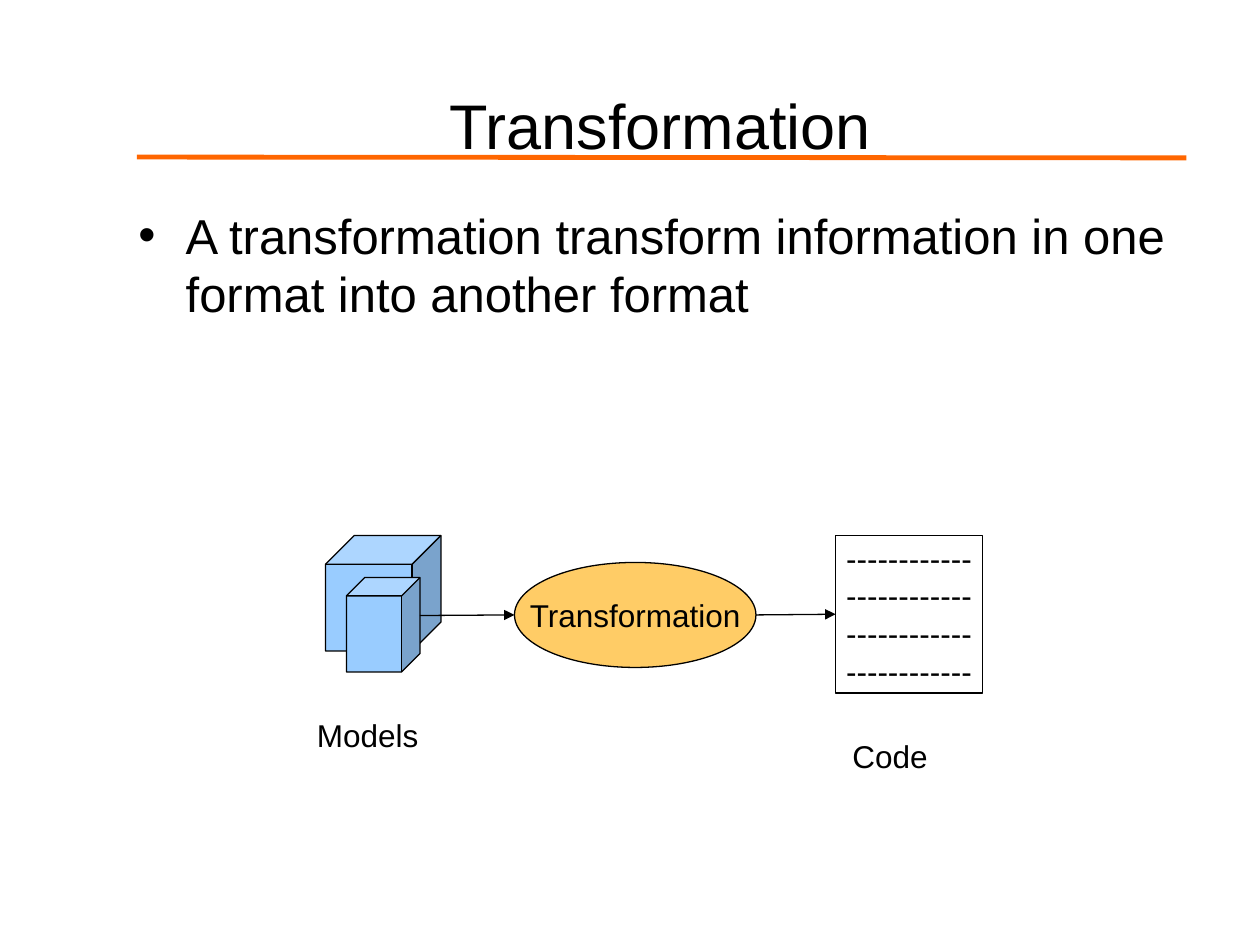
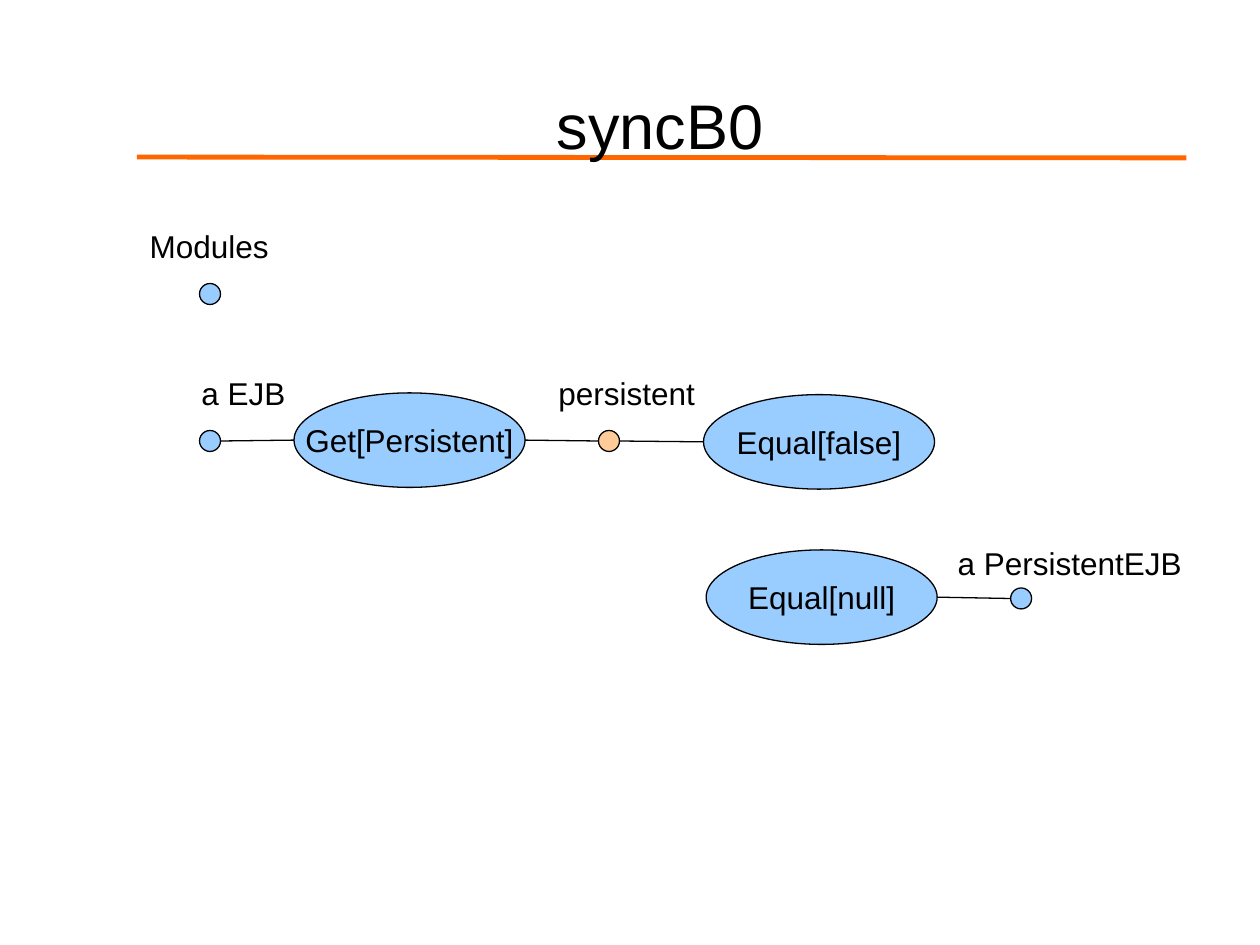
from dataclasses import dataclass

import lxml.etree
import pptx
import pptx.dml.color
import pptx.enum.shapes
import pptx.enum.text
import pptx.oxml.ns
import pptx.util

Pt = pptx.util.Pt
RGBColor = pptx.dml.color.RGBColor
MSO_SHAPE = pptx.enum.shapes.MSO_SHAPE
PP_ALIGN = pptx.enum.text.PP_ALIGN
MSO_ANCHOR = pptx.enum.text.MSO_ANCHOR
MSO_AUTO_SIZE = pptx.enum.text.MSO_AUTO_SIZE
qn = pptx.oxml.ns.qn

BLACK = RGBColor(0x00, 0x00, 0x00)
WHITE = RGBColor(0xFF, 0xFF, 0xFF)
BLUE = RGBColor(0x99, 0xCC, 0xFF)
GOLD = RGBColor(0xFF, 0xCC, 0x66)
PEACH = RGBColor(0xFF, 0xCC, 0x99)
ORANGE = RGBColor(0xFF, 0x66, 0x00)

FONT = "Arial"
LINE_HEIGHT = 1.2
LABEL_HEIGHT = 29
DOT_SIZE = 12
OVAL_WIDTH, OVAL_HEIGHT = 132, 54

Point = tuple[float, float]


@dataclass(frozen=True)
class Node:
    kind: MSO_SHAPE
    x: float
    y: float
    w: float
    h: float
    fill: RGBColor
    text: str = ""

    @property
    def left_mid(self) -> Point:
        return self.x, self.y + self.h / 2

    @property
    def right_mid(self) -> Point:
        return self.x + self.w, self.y + self.h / 2


@dataclass(frozen=True)
class Label:
    text: str
    x: float
    y: float
    w: float
    align: PP_ALIGN = PP_ALIGN.LEFT


def dot(x: float, y: float, fill: RGBColor = BLUE) -> Node:
    return Node(MSO_SHAPE.OVAL, x, y, DOT_SIZE, DOT_SIZE, fill)


def oval(text: str, x: float, y: float) -> Node:
    return Node(MSO_SHAPE.OVAL, x, y, OVAL_WIDTH, OVAL_HEIGHT, BLUE, text)


def write(tf, text: str, *, size: float = 18, align=PP_ALIGN.LEFT,
          anchor=MSO_ANCHOR.TOP, wrap: bool = False, grow: bool = False,
          bullet: str = "", indent: float = 0) -> None:
    tf.word_wrap = wrap
    tf.vertical_anchor = anchor
    if grow:
        tf.auto_size = MSO_AUTO_SIZE.SHAPE_TO_FIT_TEXT
    for i, line in enumerate(text.split("\n")):
        p = tf.paragraphs[0] if i == 0 else tf.add_paragraph()
        p.alignment = align
        p.line_spacing = Pt(size * LINE_HEIGHT)
        if bullet:
            pPr = p._p.get_or_add_pPr()
            pPr.set("marL", str(Pt(indent)))
            pPr.set("indent", str(-Pt(indent)))
            lxml.etree.SubElement(pPr, qn("a:buFont")).set("typeface", FONT)
            lxml.etree.SubElement(pPr, qn("a:buChar")).set("char", bullet)
        r = p.add_run()
        r.text = line
        r.font.name = FONT
        r.font.size = Pt(size)
        r.font.color.rgb = BLACK


def add_text(s, text: str, x: float, y: float, w: float, h: float, **style) -> None:
    box = s.shapes.add_textbox(Pt(x), Pt(y), Pt(w), Pt(h))
    write(box.text_frame, text, **style)


def add_label(s, label: Label) -> None:
    add_text(s, label.text, label.x, label.y, label.w, LABEL_HEIGHT,
             align=label.align, grow=True)


def add_node(shapes, node: Node) -> None:
    sp = shapes.add_shape(node.kind, Pt(node.x), Pt(node.y), Pt(node.w), Pt(node.h))
    sp.shadow.inherit = False
    sp.fill.solid()
    sp.fill.fore_color.rgb = node.fill
    sp.line.color.rgb = BLACK
    sp.line.width = Pt(0.75)
    if node.text:
        write(sp.text_frame, node.text, align=PP_ALIGN.CENTER, anchor=MSO_ANCHOR.MIDDLE)


def add_line(s, start: Point, end: Point, color: RGBColor = BLACK,
             width: float = 0.75, arrow: bool = False) -> None:
    c = s.shapes.add_connector(pptx.enum.shapes.MSO_CONNECTOR.STRAIGHT,
                               *(Pt(v) for v in (*start, *end)))
    c.line.color.rgb = color
    c.line.width = Pt(width)
    if arrow:
        ln = c.line._get_or_add_ln()
        lxml.etree.SubElement(ln, qn("a:tailEnd")).set("type", "triangle")
    lxml.etree.SubElement(c._element.spPr, qn("a:effectLst"))


def new_slide(prs, title: str):
    s = prs.slides.add_slide(prs.slide_layouts[6])
    add_line(s, (78.25, 89.75), (678, 90.25), color=ORANGE, width=2.75)
    add_text(s, title, 65.5, 42.75, 623.5, 57, size=36, wrap=True,
             align=PP_ALIGN.CENTER, anchor=MSO_ANCHOR.MIDDLE)
    return s


def build_transformation(prs) -> None:
    s = new_slide(prs, "Transformation")
    add_text(s, "A transformation transform information in one format into another format",
             72, 113.75, 613, 354, size=28, wrap=True, bullet="•", indent=27)

    back_cube = Node(MSO_SHAPE.CUBE, 186, 306, 66, 66, BLUE)
    front_cube = Node(MSO_SHAPE.CUBE, 198, 330, 42, 54, BLUE)
    models = s.shapes.add_group_shape()
    for cube in (back_cube, front_cube):
        add_node(models.shapes, cube)

    transformation = Node(MSO_SHAPE.OVAL, 294, 321.4, 138, 60, GOLD, "Transformation")
    code = Node(MSO_SHAPE.RECTANGLE, 477.5, 306, 84, 90, WHITE, "\n".join(["-" * 12] * 4))
    for node in (transformation, code):
        add_node(s.shapes, node)
    for label in (Label("Models", 174, 405.5, 74), Label("Code", 480, 417.5, 59)):
        add_label(s, label)

    cube_side = (front_cube.x + front_cube.w, 351.75)
    add_line(s, cube_side, transformation.left_mid, arrow=True)
    add_line(s, transformation.right_mid, code.left_mid, arrow=True)


def build_sync(prs) -> None:
    s = new_slide(prs, "syncB0")
    modules = dot(114, 162)
    ejb = dot(114, 246)
    persistent = dot(342, 246, PEACH)
    persistent_ejb = dot(577.5, 336)
    get_persistent = oval("Get[Persistent]", 168, 224.5)
    equal_false = oval("Equal[false]", 402, 225.5)
    equal_null = oval("Equal[null]", 403.5, 314.25)

    for node in (modules, ejb, persistent, persistent_ejb,
                 get_persistent, equal_false, equal_null):
        add_node(s.shapes, node)
    for label in (
        Label("Modules", 77, 126, 85, PP_ALIGN.CENTER),
        Label("a EJB", 108, 210, 65),
        Label("persistent", 312, 210, 95),
        Label("a PersistentEJB", 539, 307.5, 144.5, PP_ALIGN.CENTER),
    ):
        add_label(s, label)
    for source, target in (
        (ejb, get_persistent),
        (get_persistent, persistent),
        (persistent, equal_false),
        (equal_null, persistent_ejb),
    ):
        add_line(s, source.right_mid, target.left_mid)


def main() -> None:
    prs = pptx.Presentation()
    prs.slide_width, prs.slide_height = Pt(720), Pt(540)
    build_transformation(prs)
    build_sync(prs)
    prs.save("out.pptx")


if __name__ == "__main__":
    main()
